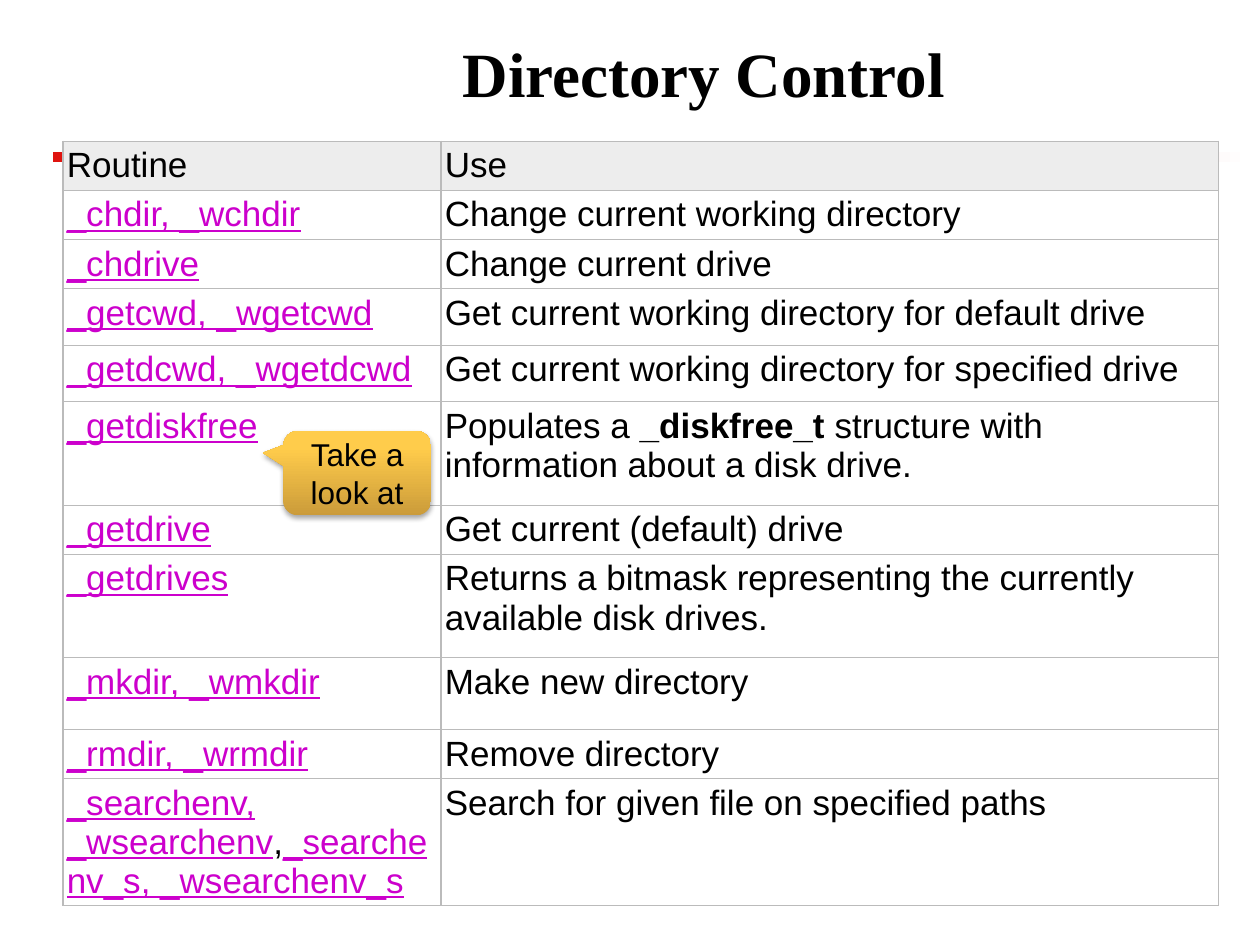
"""Builds the Directory Control slide."""
from lxml.etree import SubElement as Sub
from pptx import Presentation
from pptx.dml.color import RGBColor
from pptx.enum.shapes import MSO_SHAPE as Shape
from pptx.enum.text import MSO_ANCHOR as Anchor, PP_ALIGN as Align
from pptx.oxml.ns import qn
from pptx.util import Inches, Pt

BLACK = RGBColor(0x00, 0x00, 0x00)
WHITE = RGBColor(0xFF, 0xFF, 0xFF)
RED = RGBColor(0xDF, 0x14, 0x0F)
LINK = RGBColor(0xCC, 0x00, 0xCC)
HEAD = RGBColor(0xED, 0xED, 0xED)
EDGE = RGBColor(0xBB, 0xBB, 0xBB)
GOLD = RGBColor(0xFF, 0xCC, 0x4B)
DARK = RGBColor(0xCB, 0x9B, 0x3A)

PLAIN = {}
BOLD = {"bold": True}
NAME = {"color": LINK, "line": True}

ROWS = [
    (0.33, "_chdir, _wchdir", "Change current working directory"),
    (0.33, "_chdrive", "Change current drive"),
    (0.45, "_getcwd, _wgetcwd", "Get current working directory for default drive"),
    (0.45, "_getdcwd, _wgetdcwd", "Get current working directory for specified drive"),
    (0.82, "_getdiskfree", [
        ("Populates a ", PLAIN),
        ("_diskfree_t", BOLD),
        (" structure with information about a disk drive.", PLAIN),
    ]),
    (0.33, "_getdrive", "Get current (default) drive"),
    (0.82, "_getdrives",
     "Returns a bitmask representing the currently available disk drives."),
    (0.57, "_mkdir, _wmkdir", "Make new directory"),
    (0.33, "_rmdir, _wrmdir", "Remove directory"),
    (0.82, [
        ("_searchenv, _wsearchenv", NAME),
        (",", PLAIN),
        ("_searchenv_s, _wsearchenv_s", NAME),
    ], "Search for given file on specified paths"),
]


class Deck:
    """Holds the style and the current slide."""

    def __init__(self):
        self.prs = Presentation()
        self.prs.slide_width = Inches(10)
        self.prs.slide_height = Inches(7.5)
        self.font = "Arial"
        self.slide = self.prs.slides.add_slide(self.prs.slide_layouts[5])

    def run(self, para, text, size, font=None, color=BLACK, bold=False, line=False):
        run = para.add_run()
        run.text = text
        face = run.font
        face.name = font or self.font
        face.size = Pt(size)
        face.color.rgb = color
        face.bold = bold
        face.underline = line

    def title(self, text, box):
        head = self.slide.shapes.title
        head.left, head.top, head.width, head.height = map(Inches, box)
        frame = head.text_frame
        frame.vertical_anchor = Anchor.MIDDLE
        para = frame.paragraphs[0]
        para.alignment = Align.CENTER
        self.run(para, text, 36, "Times New Roman", bold=True)

    def shape(self, kind, box, stops, angle):
        item = self.slide.shapes.add_shape(kind, *map(Inches, box))
        item.shadow.inherit = False
        item.line.fill.background()
        item.fill.gradient()
        item.fill.gradient_angle = angle
        for stop, (place, color) in zip(item.fill.gradient_stops, stops):
            stop.position = place
            stop.color.rgb = color
        return item

    def callout(self, text, box):
        item = self.shape(Shape.ROUNDED_RECTANGULAR_CALLOUT, box,
                          [(0, DARK), (0.8, GOLD)], 90)
        for i, value in enumerate((-0.64, -0.24, 0.17)):
            item.adjustments[i] = value
        glow = item._element.spPr.find(qn("a:effectLst"))
        shade = Sub(glow, qn("a:outerShdw"), blurRad=str(Pt(3.1)),
                    dist=str(Pt(1.8)), dir="5400000", rotWithShape="0")
        tone = Sub(shade, qn("a:srgbClr"), val=str(BLACK))
        Sub(tone, qn("a:alpha"), val="35000")
        frame = item.text_frame
        frame.word_wrap = True
        frame.vertical_anchor = Anchor.MIDDLE
        para = frame.paragraphs[0]
        para.alignment = Align.CENTER
        self.run(para, text, 18)

    def cell(self, cell, runs, fill=None):
        cell.margin_left = cell.margin_right = Inches(0.03)
        cell.margin_top = cell.margin_bottom = Inches(0.04)
        cell.vertical_anchor = Anchor.MIDDLE if fill else Anchor.TOP
        props = cell._tc.get_or_add_tcPr()
        for side in "LRTB":
            edge = Sub(props, qn(f"a:ln{side}"), w=str(Pt(0.75)))
            Sub(Sub(edge, qn("a:solidFill")), qn("a:srgbClr"), val=str(EDGE))
        if fill:
            cell.fill.solid()
            cell.fill.fore_color.rgb = fill
        else:
            cell.fill.background()
        para = cell.text_frame.paragraphs[0]
        for text, style in runs:
            self.run(para, text, 20, **style)

    def table(self, rows, box, widths):
        frame = self.slide.shapes.add_table(len(rows) + 1, 2, *map(Inches, box))
        grid = frame.table
        grid.first_row = grid.horz_banding = False
        for col, width in zip(grid.columns, widths):
            col.width = Inches(width)
        grid.rows[0].height = Inches(0.33)
        for i, text in enumerate(("Routine", "Use")):
            self.cell(grid.cell(0, i), [(text, PLAIN)], HEAD)
        for i, (height, *pair) in enumerate(rows, 1):
            grid.rows[i].height = Inches(height)
            for j, (text, style) in enumerate(zip(pair, (NAME, PLAIN))):
                runs = [(text, style)] if isinstance(text, str) else text
                self.cell(grid.cell(i, j), runs)


def main():
    deck = Deck()
    deck.shape(Shape.RECTANGLE, (0.42, 1.21, 9.5, 0.08), [(0, RED), (1, WHITE)], 0)
    deck.title("Directory Control", (1.17, 0.02, 8.83, 1.1))
    deck.table(ROWS, (0.5, 1.12, 9.17, 5.58), (3, 6.17))
    deck.callout("Take a look at", (2.25, 3.42, 1.17, 0.67))
    deck.prs.save("out.pptx")


if __name__ == "__main__":
    main()
